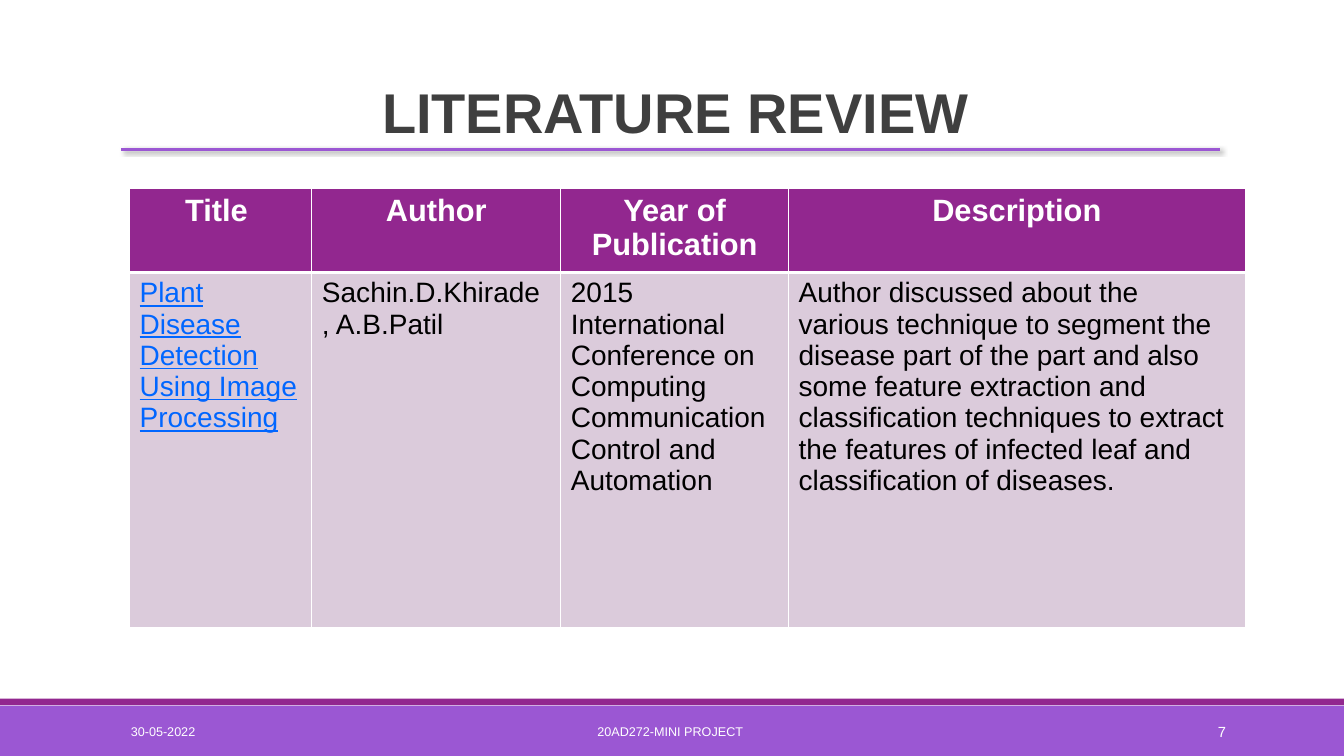
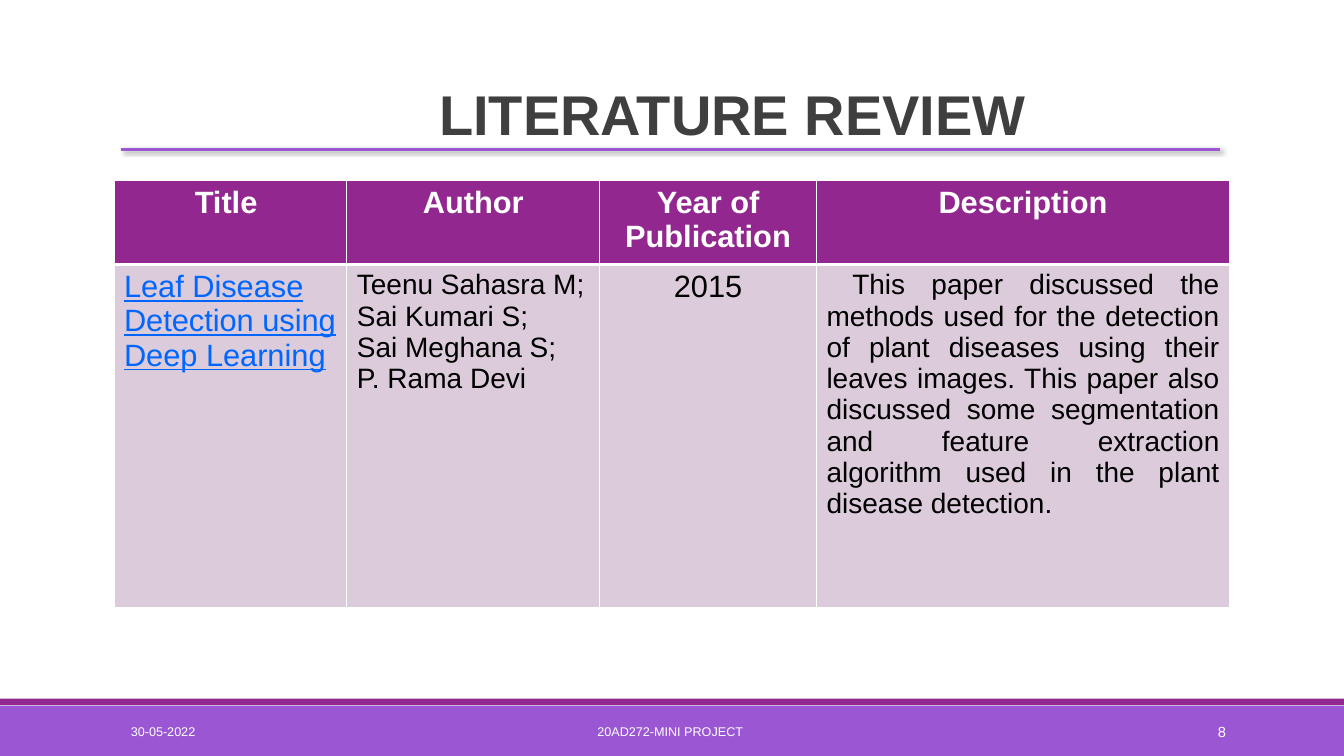
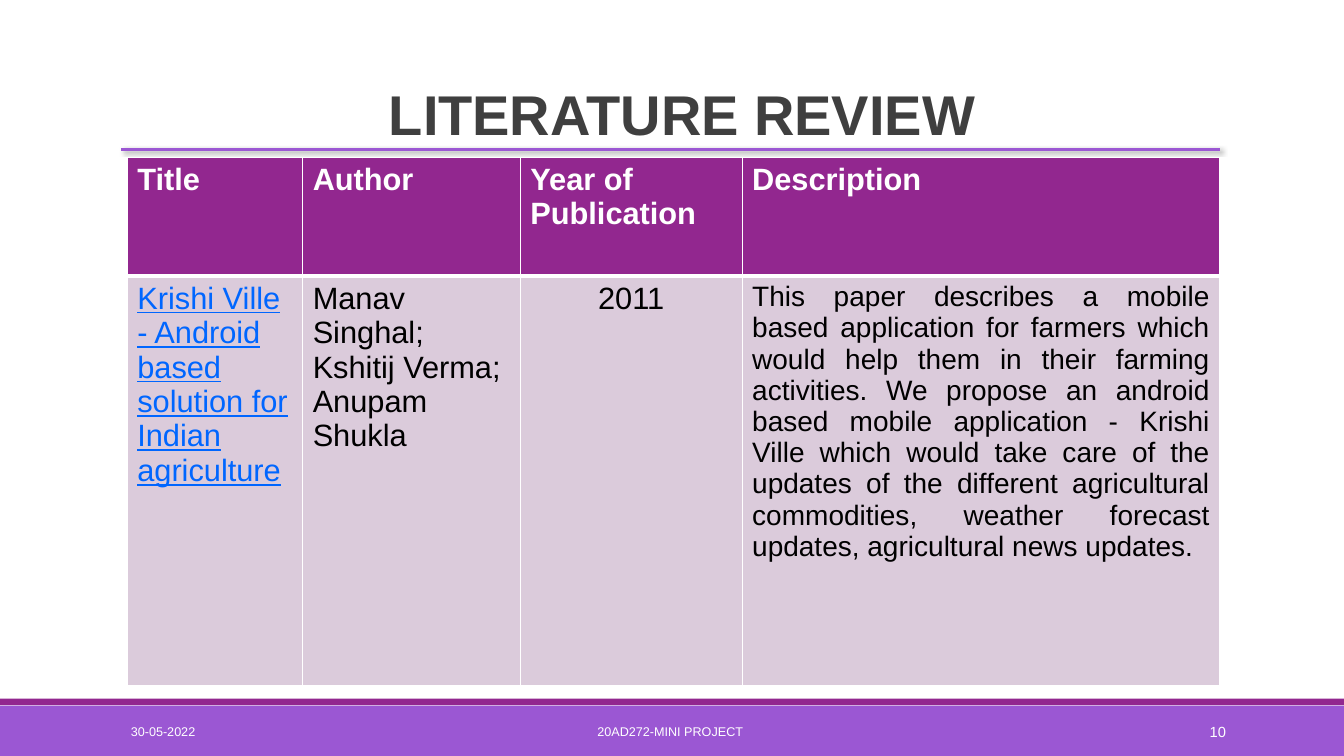
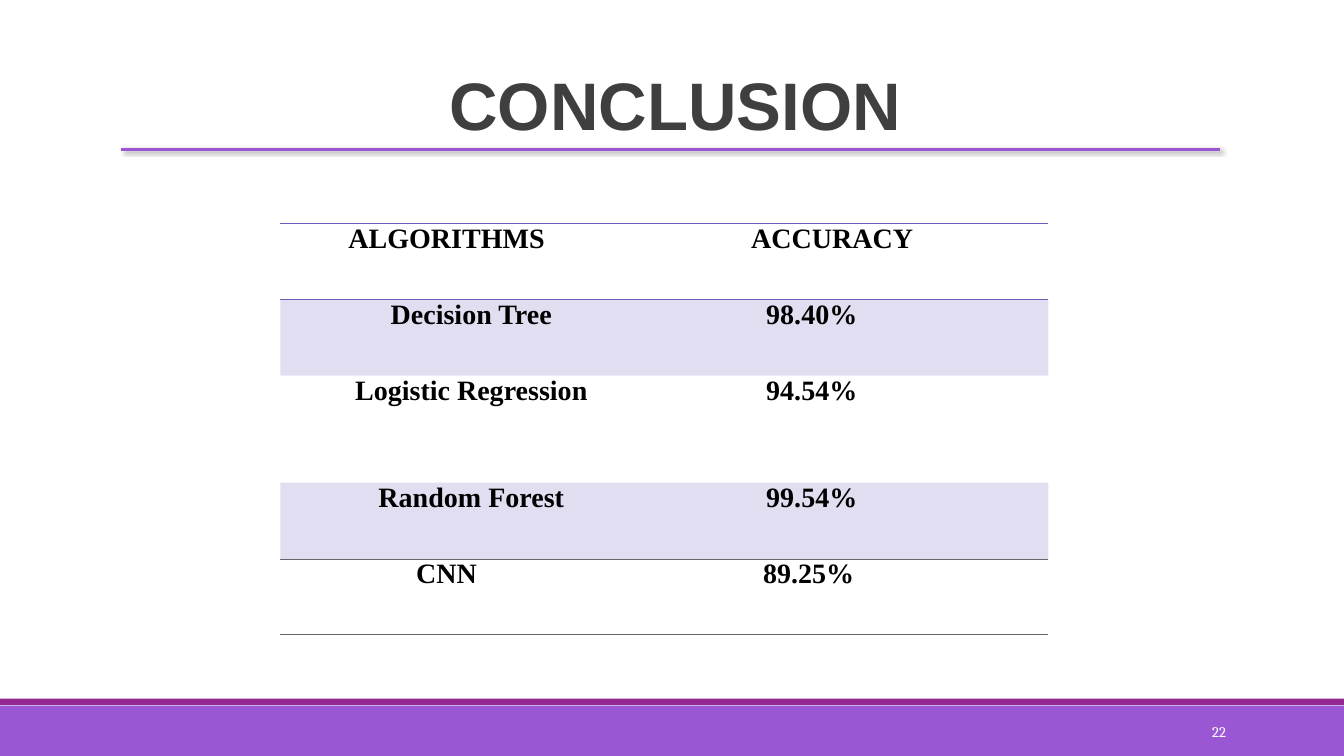
"""Build four project slides: three literature reviews and a conclusion."""
from dataclasses import dataclass, field
from typing import Any

from lxml import etree
from pptx import Presentation
from pptx import util as u
from pptx.dml.color import RGBColor
from pptx.enum import shapes, text
from pptx.oxml.ns import qn

Pt = u.Pt
LEFT, CENTER = text.PP_ALIGN.LEFT, text.PP_ALIGN.CENTER
RIGHT, JUSTIFY = text.PP_ALIGN.RIGHT, text.PP_ALIGN.JUSTIFY
PLAIN_TABLE = "{2D5ABB26-0587-4C30-8999-92F81FD0307C}"


@dataclass(frozen=True)
class Theme:
    """Colours, fonts and type sizes shared by all slides."""
    violet: str = "9B57D3"
    plum: str = "92278F"
    mauve: str = "DBCBDB"
    indigo: str = "665EB8"
    grey: str = "666666"
    heading: str = "3F3F3F"
    link: str = "0066FF"
    black: str = "000000"
    white: str = "FFFFFF"
    sans: str = "Arial"
    serif: str = "Times New Roman"
    number_font: str = "Cambria"
    title: float = 40
    big_title: float = 48
    large: float = 22
    body: float = 20
    number: float = 10.5
    footer: float = 9


T = Theme()


@dataclass(frozen=True)
class Title:
    """Title wording, place and paragraph format."""
    txt: str
    left: float = 86.4
    top: float = 28.8
    fmt: dict[str, Any] = field(default_factory=dict)


@dataclass(frozen=True)
class Entry:
    """One body cell of a review table."""
    txt: str
    size: float = T.body
    align: Any = LEFT


@dataclass(frozen=True)
class Review:
    """One literature review slide."""
    page: int
    title: Title
    left: float
    top: float
    cols: tuple[float, ...]
    rows: tuple[float, ...]
    heads: tuple[str, ...]
    head_align: Any
    entries: tuple[Entry, ...]


@dataclass(frozen=True)
class Score:
    """One row of the accuracy table, with its indents and rules."""
    name: str
    accuracy: str
    height: float
    indent: float
    name_indent: float = 0
    shaded: bool = False
    rule: tuple[str, float] | None = None


REVIEWS = (
    Review(7, Title("LITERATURE REVIEW", fmt={"align": CENTER, "spacing": 1.5}),
           92.5, 134.64, (130.3, 177.8, 162.7, 326.2), (51.1, 253.4),
           ("Title ", "Author", "Year of Publication", "Description"), CENTER, (
               Entry("Plant Disease Detection Using Image Processing"),
               Entry("Sachin.D.Khirade , A.B.Patil"),
               Entry("2015 International Conference on Computing Communication "
                     "Control and Automation"),
               Entry("Author discussed about the various technique to segment the disease "
                     "part of the part and also some feature extraction and classification "
                     "techniques to extract the features of infected leaf and "
                     "classification of diseases."))),
    Review(8, Title("LITERATURE REVIEW", 90.72, 30.96, {"indent": 180, "first": 36, "spacing": 0.85}),
           81.4, 128.9, (166.3, 180.7, 154.8, 295.2), (52.6, 244.8),
           ("Title ", "Author", "Year of Publication", "Description"), CENTER, (
               Entry("Leaf Disease Detection using Deep Learning", T.large),
               Entry("Teenu Sahasra M;\nSai Kumari S;\nSai Meghana S;\nP. Rama Devi"),
               Entry("2015", T.large, CENTER),
               Entry(" This paper discussed the methods used for the detection of "
                     "plant diseases using their leaves images. This paper also discussed "
                     "some segmentation and feature extraction algorithm used in the plant "
                     "disease detection.", align=JUSTIFY))),
    Review(10, Title("LITERATURE REVIEW", 90.72, 30.96, {"indent": 144, "first": 36, "spacing": 0.85}),
           90.9, 112.3, (125.3, 155.5, 158.4, 341.3), (85, 292.3),
           ("Title", "Author", "Year of Publication", "Description"), LEFT, (
               Entry("Krishi Ville - Android based solution for Indian agriculture", T.large),
               Entry("Manav Singhal; Kshitij Verma; Anupam Shukla", T.large),
               Entry("2011", T.large, CENTER),
               Entry("This paper describes a mobile based application for farmers which "
                     "would help them in their farming activities. We propose an android "
                     "based mobile application - Krishi Ville which would take care of the "
                     "updates of the different agricultural commodities, weather forecast "
                     "updates, agricultural news updates.", align=JUSTIFY))),
)

SCORES = (
    Score("ALGORITHMS", "ACCURACY", 54.2, 63.4, rule=(T.indigo, 1)),
    Score("Decision Tree", "98.40%", 54.2, 74.2, 35.3, shaded=True),
    Score("Logistic Regression", "94.54%", 76.4, 74.2, 35.3),
    Score("Random Forest", "99.54%", 54.5, 74.2, 35.3, shaded=True),
    Score("CNN", "89.25%", 54.2, 72, rule=(T.grey, 0.5)),
)


def write(tf, txt: str, *, size: float, color: str, font: str = T.sans, bold: bool = False,
          underline: bool = False, align=LEFT, indent: float = 0, right_indent: float = 0,
          first: float = 0, spacing: float | None = None) -> None:
    """Fill a text frame, one paragraph a line."""
    for i, line in enumerate(txt.split("\n")):
        p = tf.add_paragraph() if i else tf.paragraphs[0]
        p.alignment = align
        if spacing:
            p.line_spacing = spacing
        pPr = p._p.get_or_add_pPr()
        for key, value in (("marL", indent), ("marR", right_indent), ("indent", first)):
            if value:
                pPr.set(key, str(int(Pt(value))))
        r = p.add_run()
        r.text = line
        r.font.name, r.font.size = font, Pt(size)
        r.font.bold, r.font.underline = bold, underline
        r.font.color.rgb = RGBColor.from_string(color)


def add_text(s, txt: str, left: float, top: float, width: float, height: float,
             anchor=text.MSO_ANCHOR.MIDDLE, **fmt: Any) -> None:
    """Add a wrapped text box."""
    tf = s.shapes.add_textbox(Pt(left), Pt(top), Pt(width), Pt(height)).text_frame
    tf.word_wrap = True
    tf.vertical_anchor = anchor
    write(tf, txt, **fmt)


def add_band(s, top: float, height: float, color: str) -> None:
    """Add a full-width band."""
    sp = s.shapes.add_shape(shapes.MSO_SHAPE.RECTANGLE, 0, Pt(top), Pt(960), Pt(height))
    sp.shadow.inherit = False
    sp.fill.solid()
    sp.fill.fore_color.rgb = RGBColor.from_string(color)
    sp.line.fill.background()


def add_title_rule(s) -> None:
    """Add the shadowed line under the title."""
    ln = s.shapes.add_connector(shapes.MSO_CONNECTOR.STRAIGHT, Pt(86.4), Pt(106.6), Pt(871.2), Pt(106.6))
    ln.line.color.rgb = RGBColor.from_string(T.violet)
    ln.line.width = Pt(2)
    effects = etree.SubElement(ln._element.spPr, qn("a:effectLst"))
    shadow = etree.SubElement(effects, qn("a:outerShdw"), blurRad=str(int(Pt(3))),
                              dist=str(int(Pt(2))), dir="2700000", algn="tl", rotWithShape="0")
    clr = etree.SubElement(shadow, qn("a:srgbClr"), val=T.black)
    etree.SubElement(clr, qn("a:alpha"), val="60000")


def add_slide(prs, title: Title, page: int, size: float = T.title,
              number_font: str = T.sans, footer: bool = True):
    """Add a slide with bands, title, page number and footer."""
    s = prs.slides.add_slide(prs.slide_layouts[6])
    add_band(s, 504, 36, T.violet)
    add_band(s, 499, 4.7, T.plum)
    add_title_rule(s)
    add_text(s, title.txt, title.left, title.top, 792, 77.76, text.MSO_ANCHOR.BOTTOM,
             size=size, color=T.heading, bold=True, **title.fmt)
    add_text(s, str(page), 779.8, 508.4, 103, 28.8, size=T.number, color=T.white,
             font=number_font, align=RIGHT)
    if footer:
        add_text(s, "30-05-2022", 86.4, 508.4, 194.4, 28.8, size=T.footer, color=T.white)
        add_text(s, "20AD272-MINI PROJECT ", 290.2, 508.4, 379.4, 28.8, size=T.footer,
                 color=T.white, align=CENTER)
    return s


def add_table(s, left: float, top: float, cols: tuple[float, ...], rows: tuple[float, ...]):
    """Add an unstyled table with the given column widths and row heights."""
    tbl = s.shapes.add_table(len(rows), len(cols), Pt(left), Pt(top), Pt(sum(cols)), Pt(sum(rows))).table
    tbl.first_row = tbl.horz_banding = False
    tbl._tbl.tblPr.find(qn("a:tableStyleId")).text = PLAIN_TABLE
    for col, width in zip(tbl.columns, cols):
        col.width = Pt(width)
    for row, height in zip(tbl.rows, rows):
        row.height = Pt(height)
    return tbl


def style_cell(cell, fill: str | None, borders: dict[str, tuple[str, float]],
               alpha: int = 100) -> None:
    """Set a cell's borders, keyed by L, R, T and B, and its fill."""
    tcPr = cell._tc.get_or_add_tcPr()
    for side in "LRTB":
        if side in borders:
            color, width = borders[side]
            ln = etree.SubElement(tcPr, qn(f"a:ln{side}"), w=str(int(Pt(width))))
            etree.SubElement(etree.SubElement(ln, qn("a:solidFill")), qn("a:srgbClr"), val=color)
    if fill is None:
        cell.fill.background()
        return
    cell.fill.solid()
    cell.fill.fore_color.rgb = RGBColor.from_string(fill)
    if alpha < 100:
        clr = tcPr.find(qn("a:solidFill"))[0]
        etree.SubElement(clr, qn("a:alpha"), val=str(alpha * 1000))


def add_review(prs, review: Review) -> None:
    """Add a literature review slide."""
    s = add_slide(prs, review.title, review.page)
    tbl = add_table(s, review.left, review.top, review.cols, review.rows)
    thin, thick = (T.white, 1), (T.white, 3)
    for i, (head, entry) in enumerate(zip(review.heads, review.entries)):
        cell = tbl.cell(0, i)
        style_cell(cell, T.plum, {"L": thin, "R": thin, "T": thin, "B": thick})
        write(cell.text_frame, head, size=T.large, color=T.white, bold=True, align=review.head_align)
        cell = tbl.cell(1, i)
        style_cell(cell, T.mauve, {"L": thin, "R": thin, "B": thin})
        write(cell.text_frame, entry.txt, size=entry.size, align=entry.align,
              color=T.black if i else T.link, underline=i == 0)


def add_conclusion(prs) -> None:
    """Add the slide with the accuracy of each algorithm."""
    title = Title("CONCLUSION", fmt={"align": CENTER, "spacing": 0.85})
    s = add_slide(prs, title, 22, T.big_title, T.number_font, footer=False)
    tbl = add_table(s, 200.2, 159.9, (272.9, 275.8), tuple(score.height for score in SCORES))
    for i, score in enumerate(SCORES):
        formats = ({"align": CENTER, "indent": score.name_indent, "right_indent": 35.3},
                   {"indent": score.indent})
        borders = {"T": score.rule, "B": score.rule} if score.rule else {}
        for j, (txt, fmt) in enumerate(zip((score.name, score.accuracy), formats)):
            cell = tbl.cell(i, j)
            cell.margin_left = cell.margin_right = cell.margin_top = cell.margin_bottom = 0
            style_cell(cell, T.indigo if score.shaded else None, borders, alpha=20)
            write(cell.text_frame, txt, size=T.body, color=T.black, font=T.serif, bold=True, **fmt)


def main() -> None:
    """Build and save the presentation."""
    prs = Presentation()
    prs.slide_width, prs.slide_height = Pt(960), Pt(540)
    for review in REVIEWS:
        add_review(prs, review)
    add_conclusion(prs)
    prs.save("out.pptx")


if __name__ == "__main__":
    main()
